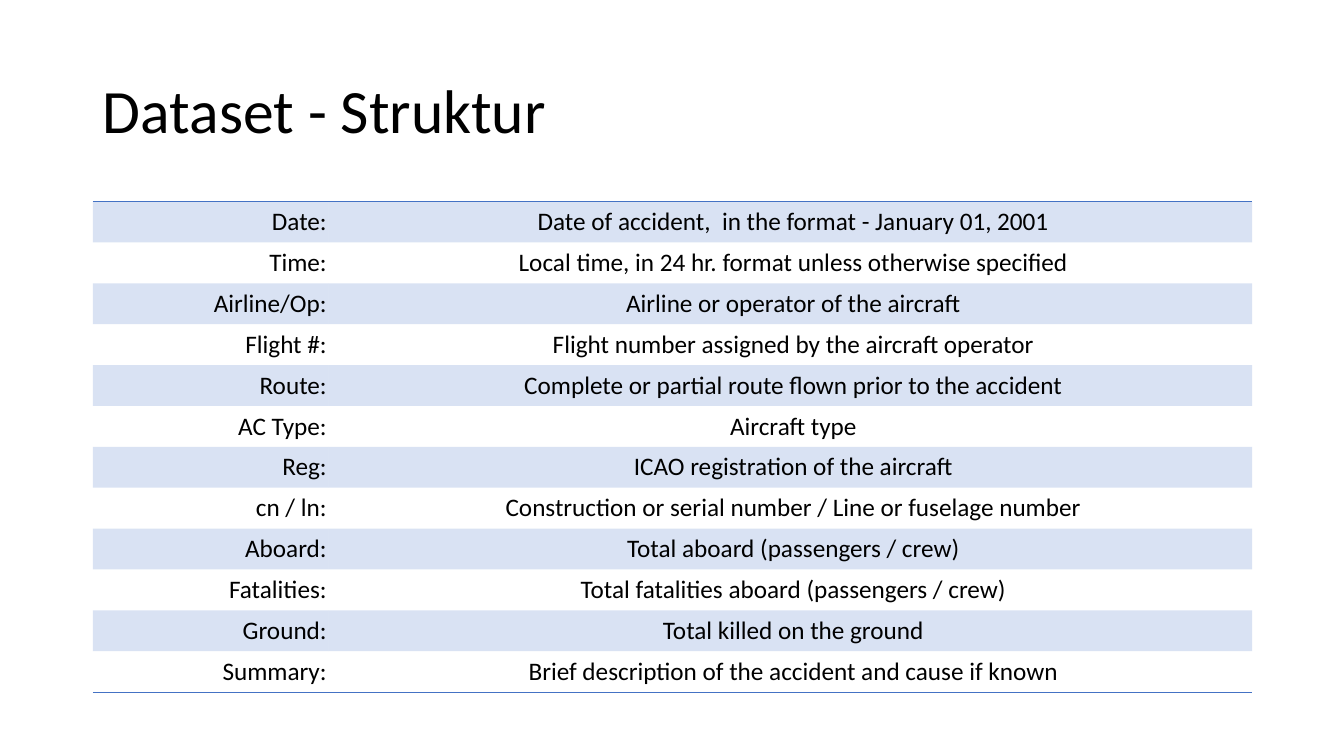
from dataclasses import dataclass

from lxml import etree
from pptx import Presentation
from pptx.dml.color import RGBColor
from pptx.enum.text import MSO_ANCHOR, PP_ALIGN
from pptx.oxml.ns import qn
from pptx.util import Inches, Pt

LEFT, CENTER, RIGHT = PP_ALIGN.LEFT, PP_ALIGN.CENTER, PP_ALIGN.RIGHT
MIDDLE = MSO_ANCHOR.MIDDLE
TITLE_ONLY_LAYOUT = 5
NO_STYLE_NO_GRID = "{2D5ABB26-0587-4C30-8999-92F81FD0307C}"
NO_BREAK_SPACE = " "


@dataclass(frozen=True)
class Theme:
    font: str = "Calibri"
    text: str = "000000"
    accent: str = "4472C4"
    band_opacity: int = 20
    title_size: int = 44
    table_size: int = 18
    rule_width: int = 1


THEME = Theme()

SLIDE_WIDTH, SLIDE_HEIGHT = Inches(13.33), Inches(7.5)
MARGIN = Inches(0.92)
CONTENT_WIDTH = Inches(11.5)
TITLE_BOX = (MARGIN, Inches(0.4), CONTENT_WIDTH, Inches(1.45))
TABLE_BOX = (MARGIN, Inches(2), CONTENT_WIDTH, Inches(4.87))
FIELD_SHARE = 0.2035
CELL_INSET = Inches(0.02)

FIELDS = [
    ("Date:", f"Date of accident, {NO_BREAK_SPACE}in the format - January 01, 2001"),
    ("Time:", "Local time, in 24 hr. format unless otherwise specified"),
    ("Airline/Op:", "Airline or operator of the aircraft"),
    ("Flight #:", "Flight number assigned by the aircraft operator"),
    ("Route:", "Complete or partial route flown prior to the accident"),
    ("AC Type:", "Aircraft type"),
    ("Reg:", "ICAO registration of the aircraft"),
    ("cn / ln:", "Construction or serial number / Line or fuselage number"),
    ("Aboard:", "Total aboard (passengers / crew)"),
    ("Fatalities:", "Total fatalities aboard (passengers / crew)"),
    ("Ground:", "Total killed on the ground"),
    ("Summary:", "Brief description of the accident and cause if known"),
]


def write_text(text_frame, text, *, size, align=LEFT, line_spacing=None):
    paragraph = text_frame.paragraphs[0]
    paragraph.alignment = align
    paragraph.line_spacing = line_spacing
    run = paragraph.add_run()
    run.text = text
    run.font.name = THEME.font
    run.font.size = Pt(size)
    run.font.color.rgb = RGBColor.from_string(THEME.text)


def fill_band(cell):
    """Fill a cell with the translucent accent colour."""
    cell.fill.solid()
    cell.fill.fore_color.rgb = RGBColor.from_string(THEME.accent)
    color = cell._tc.tcPr.find(f".//{qn('a:srgbClr')}")
    etree.SubElement(color, qn("a:alpha"), val=str(THEME.band_opacity * 1000))


def add_border(cell, side):
    """Draw a rule on one side of a cell: 'T' for top, 'B' for bottom."""
    line = etree.Element(qn(f"a:ln{side}"), w=str(Pt(THEME.rule_width)))
    solid = etree.SubElement(line, qn("a:solidFill"))
    etree.SubElement(solid, qn("a:srgbClr"), val=THEME.accent)
    cell._tc.get_or_add_tcPr().insert(0, line)


def format_cell(cell, text, align, banded):
    cell.margin_left = cell.margin_right = CELL_INSET
    cell.margin_top = cell.margin_bottom = CELL_INSET
    cell.vertical_anchor = MIDDLE
    write_text(cell.text_frame, text, size=THEME.table_size, align=align)
    if banded:
        fill_band(cell)
    else:
        cell.fill.background()


def place_title(slide, box, text):
    title = slide.shapes.title
    title.left, title.top, title.width, title.height = box
    title.text_frame.word_wrap = True
    title.text_frame.vertical_anchor = MIDDLE
    write_text(title.text_frame, text, size=THEME.title_size, line_spacing=0.9)


def add_field_table(slide, box, fields):
    width, height = box[2:]
    table_frame = slide.shapes.add_table(len(fields), 2, *box)
    table = table_frame.table
    table.first_row = table.horz_banding = False
    table._tbl.tblPr.find(qn("a:tableStyleId")).text = NO_STYLE_NO_GRID
    table.columns[0].width = int(width * FIELD_SHARE)
    table.columns[1].width = width - table.columns[0].width

    for index, (field, description) in enumerate(fields):
        table.rows[index].height = height // len(fields)
        banded = index % 2 == 0
        format_cell(table.cell(index, 0), field, RIGHT, banded)
        format_cell(table.cell(index, 1), NO_BREAK_SPACE + description, CENTER, banded)

    for column in range(2):
        add_border(table.cell(0, column), "T")
        add_border(table.cell(len(fields) - 1, column), "B")


def main():
    presentation = Presentation()
    presentation.slide_width, presentation.slide_height = SLIDE_WIDTH, SLIDE_HEIGHT
    slide = presentation.slides.add_slide(presentation.slide_layouts[TITLE_ONLY_LAYOUT])
    place_title(slide, TITLE_BOX, "Dataset - Struktur")
    add_field_table(slide, TABLE_BOX, FIELDS)
    presentation.save("out.pptx")


if __name__ == "__main__":
    main()
